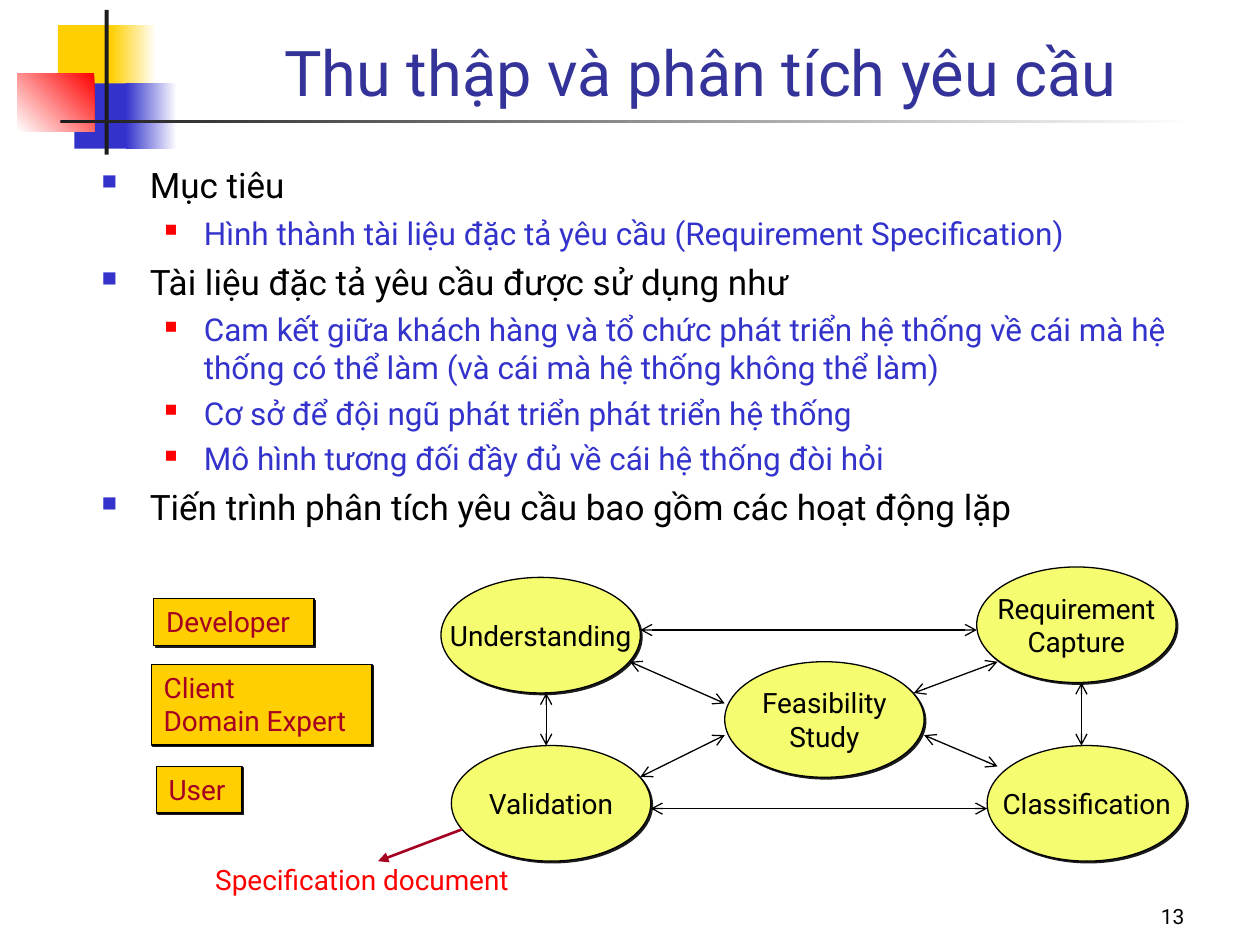
from typing import NamedTuple

from lxml import etree
from pptx import Presentation
from pptx import util as u
from pptx.dml.color import RGBColor
from pptx.enum import shapes, text
from pptx.oxml import ns

FONT = "Roboto"
WHITE = RGBColor(0xFF, 0xFF, 0xFF)
BLACK = RGBColor(0, 0, 0)
CHARCOAL = RGBColor(0x1C, 0x1C, 0x1C)
GOLD = RGBColor(0xFF, 0xCF, 0x01)
BLUE = RGBColor(0x33, 0x33, 0xCC)
NAVY = RGBColor(0x33, 0x33, 0x99)
RED = RGBColor(0xFF, 0, 0)
MAROON = RGBColor(0xA5, 0, 0x21)
LEMON = RGBColor(0xF5, 0xFC, 0x70)

RECTANGLE = shapes.MSO_SHAPE.RECTANGLE
OVAL = shapes.MSO_SHAPE.OVAL


class Area(NamedTuple):
    left: float
    top: float
    width: float
    height: float


class Block(NamedTuple):
    area: Area
    color: RGBColor
    fade: bool = False
    angle: float = 0


class Node(NamedTuple):
    words: str
    area: Area


class Link(NamedTuple):
    x1: float
    y1: float
    x2: float
    y2: float


class Level(NamedTuple):
    size: float
    color: RGBColor
    bullet_color: RGBColor
    bullet_percent: int
    margin: float
    hanging: float
    before: float


LEVELS = [
    Level(20, BLACK, BLUE, 60, 0.97, 0.97, 5),
    Level(18, BLUE, RED, 55, 2.06, 0.79, 4.5),
]
OUTLINE = [
    (0, "Mục tiêu"),
    (1, "Hình thành tài liệu đặc tả yêu cầu (Requirement Specification)"),
    (0, "Tài liệu đặc tả yêu cầu được sử dụng như"),
    (1, "Cam kết giữa khách hàng và tổ chức phát triển hệ thống về cái mà hệ "
        "thống có thể làm (và cái mà hệ thống không thể làm)"),
    (1, "Cơ sở để đội ngũ phát triển phát triển hệ thống"),
    (1, "Mô hình tương đối đầy đủ về cái hệ thống đòi hỏi"),
    (0, "Tiến trình phân tích yêu cầu bao gồm các hoạt động lặp"),
]
BLOCKS = [
    Block(Area(1.17, 0.51, 1.22, 1.32), GOLD),
    Block(Area(2.24, 0.51, 0.91, 1.32), GOLD, True),
    Block(Area(1.5, 1.68, 1.17, 1.32), BLUE),
    Block(Area(2.54, 1.68, 1.02, 1.32), BLUE, True),
    Block(Area(0.35, 1.48, 1.55, 1.17), RED, True, 225),
    Block(Area(2.11, 0.2, 0.08, 2.92), CHARCOAL),
    Block(Area(1.22, 2.41, 22.86, 0.08), CHARCOAL, True),
]
OVAL_SIZE = (4.02, 2.33)
ACTIVITIES = [
    Node("Understanding", Area(8.89, 11.64, *OVAL_SIZE)),
    Node("Requirement\nCapture", Area(19.69, 11.43, *OVAL_SIZE)),
    Node("Feasibility\nStudy", Area(14.61, 13.34, *OVAL_SIZE)),
    Node("Validation", Area(9.1, 15.03, *OVAL_SIZE)),
    Node("Classification", Area(19.9, 15.03, *OVAL_SIZE)),
]
ROLES = [
    Node("Developer", Area(3.1, 12.07, 3.23, 0.94)),
    Node("Client\nDomain Expert", Area(3.05, 13.39, 4.45, 1.63)),
    Node("User", Area(3.15, 15.45, 1.73, 0.94)),
]
LINKS = [
    Link(12.91, 12.7, 19.69, 12.7),
    Link(11.01, 13.97, 11.01, 15.03),
    Link(21.8, 13.76, 21.8, 15.03),
    Link(13.12, 16.3, 19.9, 16.3),
    Link(14.61, 14.82, 12.91, 15.66),
    Link(18.63, 14.82, 20.11, 15.45),
    Link(20.11, 13.34, 18.42, 13.97),
    Link(12.7, 13.34, 14.61, 14.18),
]


def add_element(parent, tag: str, **attributes: str):
    return etree.SubElement(parent, ns.qn(tag), attributes)


def write(box, words: str, *, size: float, color: RGBColor,
          align=text.PP_ALIGN.LEFT, anchor=text.MSO_ANCHOR.TOP, wrap: bool = True) -> None:
    frame = box.text_frame
    frame.text = words
    frame.word_wrap = wrap
    frame.vertical_anchor = anchor
    for para in frame.paragraphs:
        para.alignment = align
        for span in para.runs:
            span.font.name = FONT
            span.font.size = u.Pt(size)
            span.font.color.rgb = color


def place(area: Area) -> list:
    return [u.Cm(length) for length in area]


def add_block(page, block: Block) -> None:
    shape = page.shapes.add_shape(RECTANGLE, *place(block.area))
    shape.shadow.inherit = False
    shape.line.fill.background()
    if block.fade:
        shape.fill.gradient()
        shape.fill.gradient_angle = block.angle
        for stop, color in zip(shape.fill.gradient_stops, (block.color, WHITE)):
            stop.color.rgb = color
    else:
        shape.fill.solid()
        shape.fill.fore_color.rgb = block.color


def add_node(page, node: Node, kind, fill: RGBColor, **text_format) -> None:
    shape = page.shapes.add_shape(kind, *place(node.area))
    shape.fill.solid()
    shape.fill.fore_color.rgb = fill
    shape.line.color.rgb = BLACK
    shape.line.width = u.Pt(0.75)
    shape.shadow.inherit = False
    effects = shape._element.spPr.find(ns.qn("a:effectLst"))
    shadow = add_element(effects, "a:outerShdw", dist=str(u.Pt(1.4)), dir="2700000",
                         algn="ctr", rotWithShape="0")
    add_element(shadow, "a:srgbClr", val=str(CHARCOAL))
    write(shape, node.words, size=16, **text_format)


def add_link(page, link: Link, color: RGBColor, width: float, head: str, tail: str) -> None:
    line = page.shapes.add_connector(shapes.MSO_CONNECTOR.STRAIGHT, *place(link))
    line.line.color.rgb = color
    line.line.width = u.Pt(width)
    outline = line.line._get_or_add_ln()
    add_element(outline, "a:headEnd", type=head)
    add_element(outline, "a:tailEnd", type=tail)
    add_element(line._element.spPr, "a:effectLst")


def add_text(page, area: Area, words: str, **text_format) -> None:
    write(page.shapes.add_textbox(*place(area)), words, **text_format)


def add_outline(page, area: Area) -> None:
    frame = page.shapes.add_textbox(*place(area)).text_frame
    frame.word_wrap = True
    for index, (depth, words) in enumerate(OUTLINE):
        level = LEVELS[depth]
        para = frame.add_paragraph() if index else frame.paragraphs[0]
        para.level = depth
        if index:
            para.space_before = u.Pt(level.before)
        properties = para._p.get_or_add_pPr()
        properties.set("marL", str(u.Cm(level.margin)))
        properties.set("indent", str(-u.Cm(level.hanging)))
        bullet_color = add_element(properties, "a:buClr")
        add_element(bullet_color, "a:srgbClr", val=str(level.bullet_color))
        add_element(properties, "a:buSzPct", val=str(level.bullet_percent * 1000))
        add_element(properties, "a:buChar", char="■")
        span = para.add_run()
        span.text = words
        span.font.name = FONT
        span.font.size = u.Pt(level.size)
        span.font.color.rgb = level.color


def main() -> None:
    deck = Presentation()
    deck.slide_width, deck.slide_height = u.Cm(25.4), u.Cm(19.05)
    page = deck.slides.add_slide(deck.slide_layouts[5])
    for block in BLOCKS:
        add_block(page, block)
    title = page.shapes.title
    title.left, title.top, title.width, title.height = place(Area(3.61, 0.2, 21.03, 2.13))
    write(title, "Thu thập và phân tích yêu cầu", size=36, color=NAVY,
          align=text.PP_ALIGN.CENTER, anchor=text.MSO_ANCHOR.BOTTOM)
    add_outline(page, Area(1.8, 3.18, 23.6, 13.23))
    for activity in ACTIVITIES:
        add_node(page, activity, OVAL, LEMON, color=BLACK, wrap=False,
                 align=text.PP_ALIGN.CENTER, anchor=text.MSO_ANCHOR.MIDDLE)
    add_text(page, Area(4.09, 17.27, 6.71, 0.94), "Specification document", size=16, color=RED)
    for link in LINKS:
        add_link(page, link, BLACK, 0.75, "arrow", "arrow")
    add_link(page, Link(9.31, 16.72, 7.62, 17.36), MAROON, 1.5, "none", "triangle")
    for role in ROLES:
        add_node(page, role, RECTANGLE, GOLD, color=MAROON)
    add_text(page, Area(18.84, 17.57, 5.29, 1.27), "13", size=12, color=BLACK,
             align=text.PP_ALIGN.RIGHT, anchor=text.MSO_ANCHOR.BOTTOM)
    deck.save("out.pptx")


if __name__ == "__main__":
    main()
